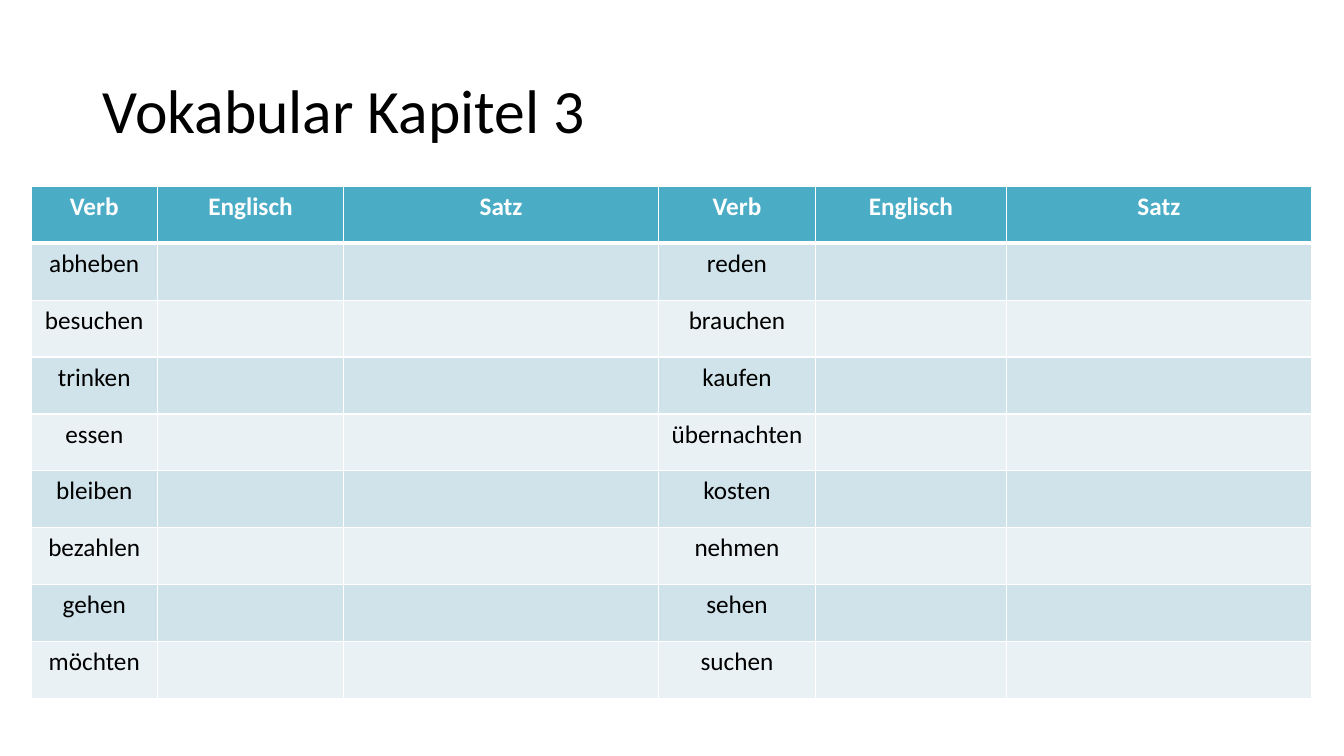
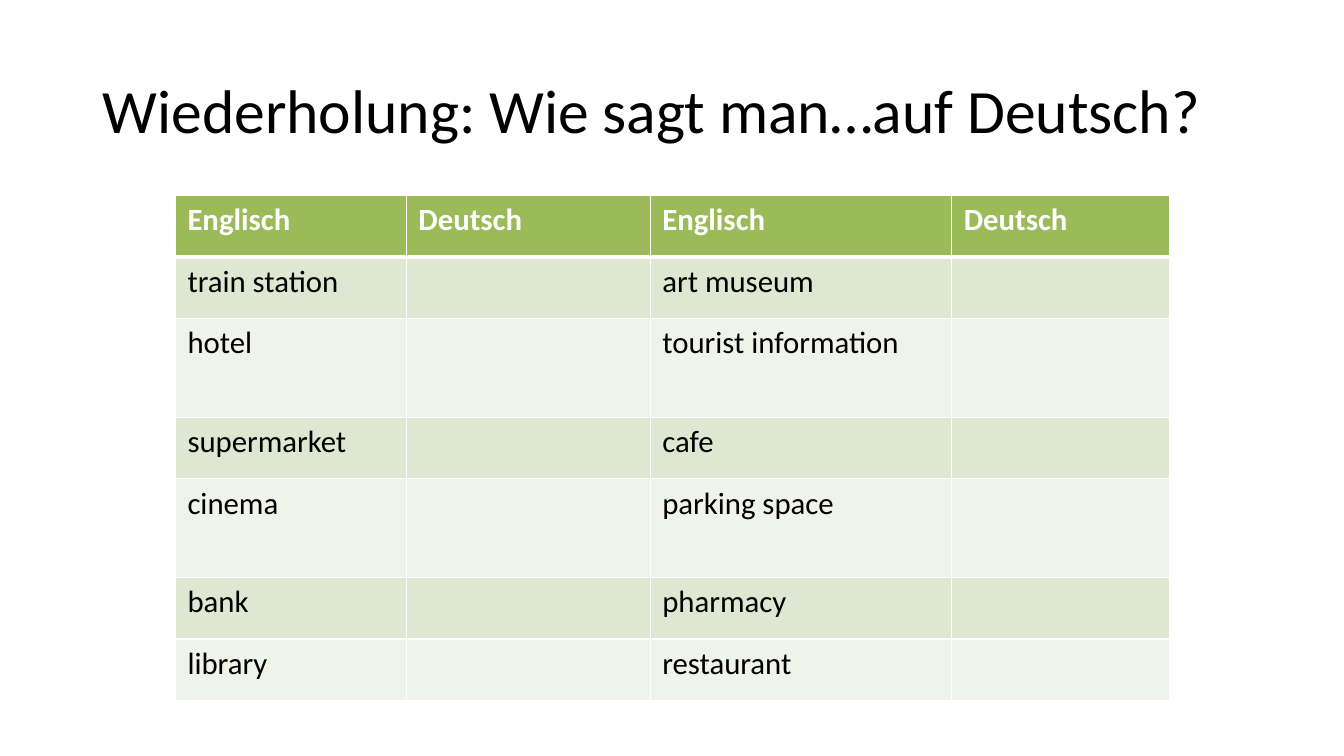
import dataclasses
import typing

import lxml.etree
import pptx
import pptx.dml.color
import pptx.enum.text
import pptx.oxml.ns
import pptx.util

RGBColor = pptx.dml.color.RGBColor
Inches = pptx.util.Inches
Pt = pptx.util.Pt
Align = pptx.enum.text.PP_ALIGN

FONT = "Calibri"
BLACK = RGBColor(0x00, 0x00, 0x00)
WHITE = RGBColor(0xFF, 0xFF, 0xFF)
TEAL = RGBColor(0x4B, 0xAC, 0xC6)
TEAL_MID = RGBColor(0xD0, 0xE3, 0xEA)
TEAL_PALE = RGBColor(0xE9, 0xF1, 0xF5)
GREEN = RGBColor(0x9B, 0xBB, 0x59)
GREEN_MID = RGBColor(0xDE, 0xE7, 0xD1)
GREEN_PALE = RGBColor(0xEF, 0xF3, 0xEA)
THIN = 1
THICK = 3


@dataclasses.dataclass(frozen=True)
class Look:
    head: RGBColor
    bands: tuple[RGBColor, RGBColor]
    size: int
    align: Align
    pad_x: float
    pad_y: float


@dataclasses.dataclass(frozen=True)
class Sheet:
    title: str
    left: float
    top: float
    widths: list[float]
    heights: list[float]
    heads: list[str]
    pairs: list[tuple[str, str]]
    look: Look

    def grid(self) -> list[list[str]]:
        half = len(self.heads) // 2
        gap = [""] * (half - 1)
        return [self.heads] + [[a, *gap, b, *gap] for a, b in self.pairs]


VERBS = [
    ("abheben", "reden"),
    ("besuchen", "brauchen"),
    ("trinken", "kaufen"),
    ("essen", "übernachten"),
    ("bleiben", "kosten"),
    ("bezahlen", "nehmen"),
    ("gehen", "sehen"),
    ("möchten", "suchen"),
]
PLACES = [
    ("train station", "art museum"),
    ("hotel", "tourist information"),
    ("supermarket", "cafe"),
    ("cinema", "parking space"),
    ("bank", "pharmacy"),
    ("library", "restaurant"),
]
LOW, HIGH = 0.61, 0.98

SHEETS = [
    Sheet(
        title="Vokabular Kapitel 3",
        left=0.31,
        top=1.85,
        widths=[1.25, 1.85, 3.12, 1.56, 1.89, 3.03],
        heights=[5.08 / 9] * 9,
        heads=["Verb", "Englisch", "Satz"] * 2,
        pairs=VERBS,
        look=Look(TEAL, (TEAL_MID, TEAL_PALE), 18, Align.CENTER, 0.1, 0.05),
    ),
    Sheet(
        title="Wiederholung: Wie sagt man…auf Deutsch?",
        left=1.74,
        top=1.94,
        widths=[2.29, 2.42, 2.99, 2.16],
        heights=[LOW, LOW, HIGH, LOW, HIGH, LOW, LOW],
        heads=["Englisch", "Deutsch"] * 2,
        pairs=PLACES,
        look=Look(GREEN, (GREEN_MID, GREEN_PALE), 22, Align.LEFT, 0.12, 0.06),
    ),
]


def style(par: typing.Any, size: int, color: RGBColor, bold: bool = False) -> None:
    for run in par.runs:
        run.font.name = FONT
        run.font.size = Pt(size)
        run.font.bold = bold
        run.font.color.rgb = color


def add_title(slide: typing.Any, text: str) -> None:
    box = slide.shapes.add_textbox(Inches(0.92), Inches(0.4), Inches(11.5), Inches(1.45))
    frame = box.text_frame
    frame.word_wrap = True
    frame.vertical_anchor = pptx.enum.text.MSO_ANCHOR.MIDDLE
    frame.text = text
    par = frame.paragraphs[0]
    par.line_spacing = 0.9
    style(par, 44, BLACK)


def set_edges(cell: typing.Any, top: int, bottom: int) -> None:
    qn = pptx.oxml.ns.qn
    props = cell._tc.get_or_add_tcPr()
    for side, width in (("L", THIN), ("R", THIN), ("T", top), ("B", bottom)):
        line = lxml.etree.SubElement(props, qn(f"a:ln{side}"), w=str(Pt(width)))
        fill = lxml.etree.SubElement(line, qn("a:solidFill"))
        lxml.etree.SubElement(fill, qn("a:srgbClr"), val=str(WHITE))


def fill_cell(cell: typing.Any, text: str, row: int, look: Look) -> None:
    head = row == 0
    set_edges(cell, THICK if row == 1 else THIN, THICK if head else THIN)
    cell.fill.solid()
    cell.fill.fore_color.rgb = look.head if head else look.bands[(row - 1) % 2]
    cell.margin_left = cell.margin_right = Inches(look.pad_x)
    cell.margin_top = cell.margin_bottom = Inches(look.pad_y)
    if text:
        cell.text_frame.text = text
        par = cell.text_frame.paragraphs[0]
        par.alignment = look.align
        style(par, look.size, WHITE if head else BLACK, head)


def add_grid(slide: typing.Any, sheet: Sheet) -> None:
    table = slide.shapes.add_table(
        len(sheet.heights),
        len(sheet.widths),
        Inches(sheet.left),
        Inches(sheet.top),
        Inches(sum(sheet.widths)),
        Inches(sum(sheet.heights)),
    ).table
    for col, width in zip(table.columns, sheet.widths):
        col.width = Inches(width)
    for row, height in zip(table.rows, sheet.heights):
        row.height = Inches(height)
    for r, texts in enumerate(sheet.grid()):
        for c, text in enumerate(texts):
            fill_cell(table.cell(r, c), text, r, sheet.look)


def main() -> None:
    deck = pptx.Presentation()
    deck.slide_width = Inches(13.33)
    deck.slide_height = Inches(7.5)
    for sheet in SHEETS:
        slide = deck.slides.add_slide(deck.slide_layouts[6])
        add_title(slide, sheet.title)
        add_grid(slide, sheet)
    deck.save("out.pptx")


if __name__ == "__main__":
    main()
